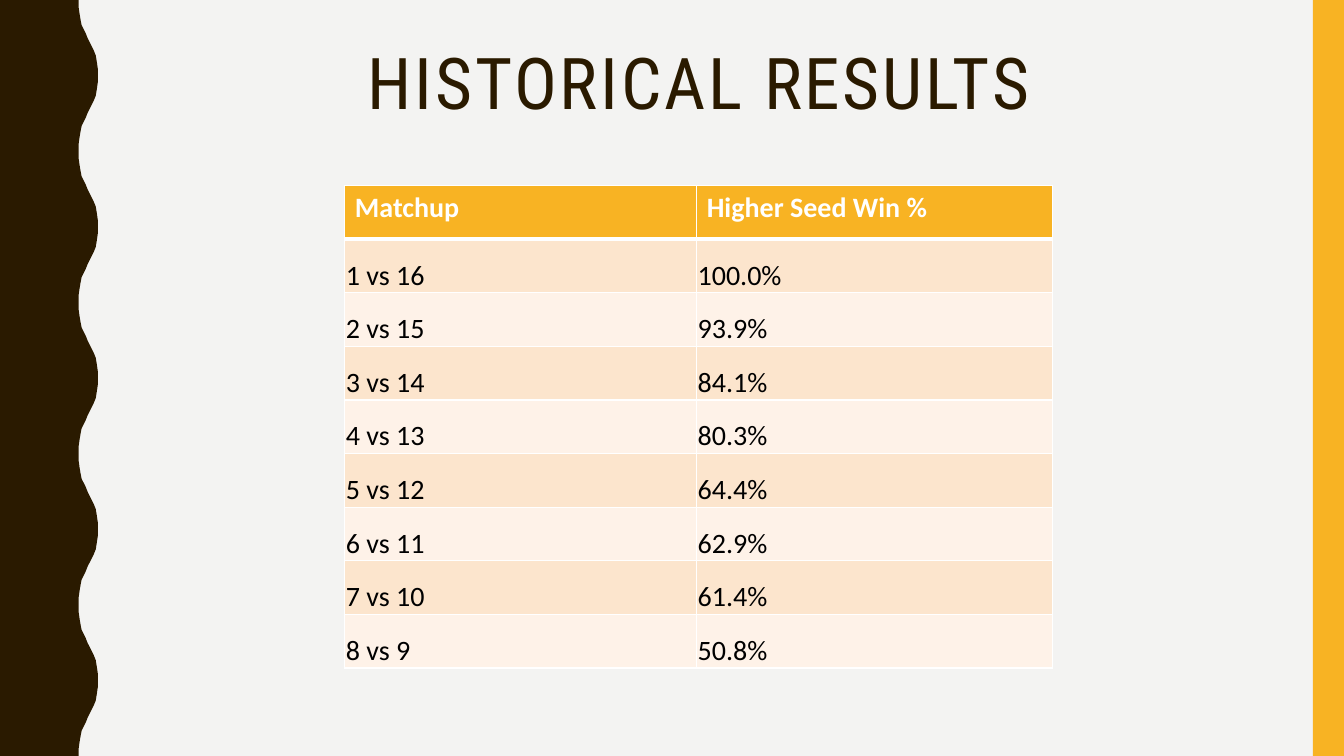
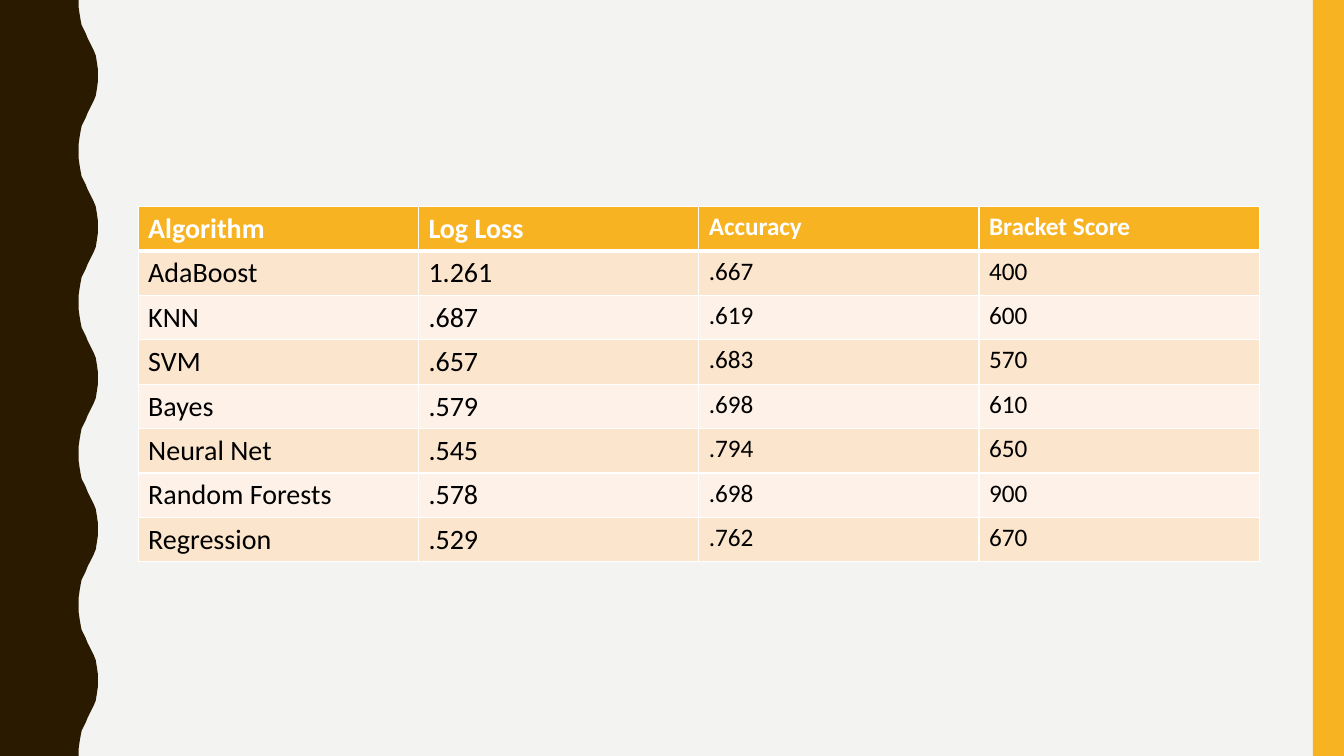
from lxml import etree
from pptx import Presentation
from pptx.dml.color import RGBColor
from pptx.enum.shapes import MSO_SHAPE
from pptx.enum.text import MSO_ANCHOR, MSO_AUTO_SIZE, PP_ALIGN
from pptx.oxml.ns import qn
from pptx.util import Inches, Pt

# Content
TITLE = "HISTORICAL RESULTS"
MATCHUPS = [
    ("Matchup", "Higher Seed Win %"),
    ("1 vs 16", "100.0%"),
    ("2 vs 15", "93.9%"),
    ("3 vs 14", "84.1%"),
    ("4 vs 13", "80.3%"),
    ("5 vs 12", "64.4%"),
    ("6 vs 11", "62.9%"),
    ("7 vs 10", "61.4%"),
    ("8 vs 9", "50.8%"),
]
ALGORITHMS = [
    ("Algorithm", "Log Loss", "Accuracy", "Bracket Score"),
    ("AdaBoost", "1.261", ".667", "400"),
    ("KNN", ".687", ".619", "600"),
    ("SVM", ".657", ".683", "570"),
    ("Bayes", ".579", ".698", "610"),
    ("Neural Net", ".545", ".794", "650"),
    ("Random Forests", ".578", ".698", "900"),
    ("Regression", ".529", ".762", "670"),
]

# Shared style
BROWN = RGBColor(0x2A, 0x1A, 0x00)
GOLD = RGBColor(0xF8, 0xB3, 0x23)
PAPER = RGBColor(0xF3, 0xF3, 0xF2)
WHITE = RGBColor(0xFF, 0xFF, 0xFF)
BLACK = RGBColor(0x00, 0x00, 0x00)
ROW_BANDS = (RGBColor(0xFC, 0xE5, 0xCD), RGBColor(0xFE, 0xF2, 0xE8))
TITLE_FONT = "Roboto Condensed"
BODY_FONT = "Calibri"
TOP = MSO_ANCHOR.TOP
BOTTOM = MSO_ANCHOR.BOTTOM
CENTER = PP_ALIGN.CENTER
NO_AUTOFIT = MSO_AUTO_SIZE.NONE
RECTANGLE = MSO_SHAPE.RECTANGLE

# Wavy edge: half of one wave as (x, y) in inches; the other half mirrors it
WAVE_HALF = [
    (0.78, 0), (0.78, 0.07), (0.79, 0.14), (0.8, 0.2), (0.81, 0.25),
    (0.83, 0.29), (0.85, 0.33), (0.87, 0.38), (0.89, 0.42), (0.91, 0.46),
    (0.93, 0.5), (0.95, 0.55), (0.96, 0.61), (0.97, 0.68), (0.97, 0.75),
]
WAVE_LENGTH = 1.5
WAVE_COUNT = 5
SLIDE_WIDTH, SLIDE_HEIGHT = 13.33, 7.5
BAR_WIDTH = 0.31


def write_text(frame, text, *, size, color, font=BODY_FONT, bold=False,
               align=None, line_spacing=None):
    paragraph = frame.paragraphs[0]
    paragraph.alignment = align
    paragraph.line_spacing = line_spacing
    run = paragraph.add_run()
    run.text = text
    run.font.name = font
    run.font.size = Pt(size)
    run.font.bold = bold
    run.font.color.rgb = color


def move_to_master(shape, color, master, number):
    """Style a decoration and place it behind everything on the master."""
    shape.fill.solid()
    shape.fill.fore_color.rgb = color
    shape.line.fill.background()
    shape.shadow.inherit = False
    shape.element.nvSpPr.cNvPr.id = 100 + number
    master.shapes.element.insert(2 + number, shape.element)


def decorate_master(presentation, slide):
    master = presentation.slide_master
    master.background.fill.solid()
    master.background.fill.fore_color.rgb = PAPER

    # Wavy band on the left
    wave = WAVE_HALF + [(x, WAVE_LENGTH - y) for x, y in WAVE_HALF[-2::-1]]
    edge = [(x, y + WAVE_LENGTH * index)
            for index in range(WAVE_COUNT) for x, y in wave]
    builder = slide.shapes.build_freeform(0, 0)
    builder.add_line_segments(
        [(Inches(x), Inches(y)) for x, y in edge + [(0, SLIDE_HEIGHT)]])
    move_to_master(builder.convert_to_shape(), BROWN, master, 0)

    # Gold bar on the right
    bar = slide.shapes.add_shape(
        RECTANGLE, Inches(SLIDE_WIDTH - BAR_WIDTH), 0,
        Inches(BAR_WIDTH), Inches(SLIDE_HEIGHT))
    move_to_master(bar, GOLD, master, 1)


def add_title(slide, text):
    title = slide.shapes.title
    title.left, title.top = Inches(1.37), Inches(0.42)
    title.width, title.height = Inches(11.13), Inches(1.63)
    title.text_frame.word_wrap = True
    title.text_frame.auto_size = NO_AUTOFIT
    title.text_frame.vertical_anchor = TOP
    write_text(title.text_frame, text, size=51, color=BROWN, font=TITLE_FONT,
               align=CENTER, line_spacing=0.9)
    for properties in title.element.iter(qn("a:rPr")):
        properties.set("spc", "200")


def set_borders(cell, top, bottom):
    properties = cell._tc.get_or_add_tcPr()
    sides = (("a:lnL", 1), ("a:lnR", 1), ("a:lnT", top), ("a:lnB", bottom))
    for position, (tag, width) in enumerate(sides):
        line = etree.Element(qn(tag), w=str(Pt(width)))
        fill = etree.SubElement(line, qn("a:solidFill"))
        etree.SubElement(fill, qn("a:srgbClr"), val=str(WHITE))
        properties.insert(position, line)


def add_results_table(slide, rows, left, top, height, widths, sizes,
                      tight=False):
    table = slide.shapes.add_table(
        len(rows), len(widths), Inches(left), Inches(top),
        Inches(sum(widths)), Inches(height)).table
    for column, width in zip(table.columns, widths):
        column.width = Inches(width)
    for row_index, row in enumerate(rows):
        header = row_index == 0
        for column_index, text in enumerate(row):
            cell = table.cell(row_index, column_index)
            cell.fill.solid()
            cell.fill.fore_color.rgb = (
                GOLD if header else ROW_BANDS[(row_index - 1) % 2])
            set_borders(cell, top=3 if row_index == 1 else 1,
                        bottom=3 if header else 1)
            if tight and not header:
                cell.vertical_anchor = BOTTOM
                cell.margin_left = cell.margin_right = Inches(0.01)
                cell.margin_top, cell.margin_bottom = Inches(0.01), 0
            write_text(cell.text_frame, text, size=sizes[column_index],
                       color=WHITE if header else BLACK, bold=header)


def main():
    presentation = Presentation()
    presentation.slide_width = Inches(SLIDE_WIDTH)
    presentation.slide_height = Inches(SLIDE_HEIGHT)
    title_only, blank = presentation.slide_layouts[5], presentation.slide_layouts[6]

    # Historical results
    history = presentation.slides.add_slide(title_only)
    decorate_master(presentation, history)
    add_title(history, TITLE)
    add_results_table(history, MATCHUPS, 3.42, 1.84, 4.79,
                      widths=(3.49, 3.53), sizes=(20, 20), tight=True)

    # Algorithm comparison
    comparison = presentation.slides.add_slide(blank)
    add_results_table(comparison, ALGORITHMS, 1.37, 2.05, 3.52,
                      widths=(2.78,) * 4, sizes=(20, 20, 18, 18))

    presentation.save("out.pptx")


if __name__ == "__main__":
    main()
